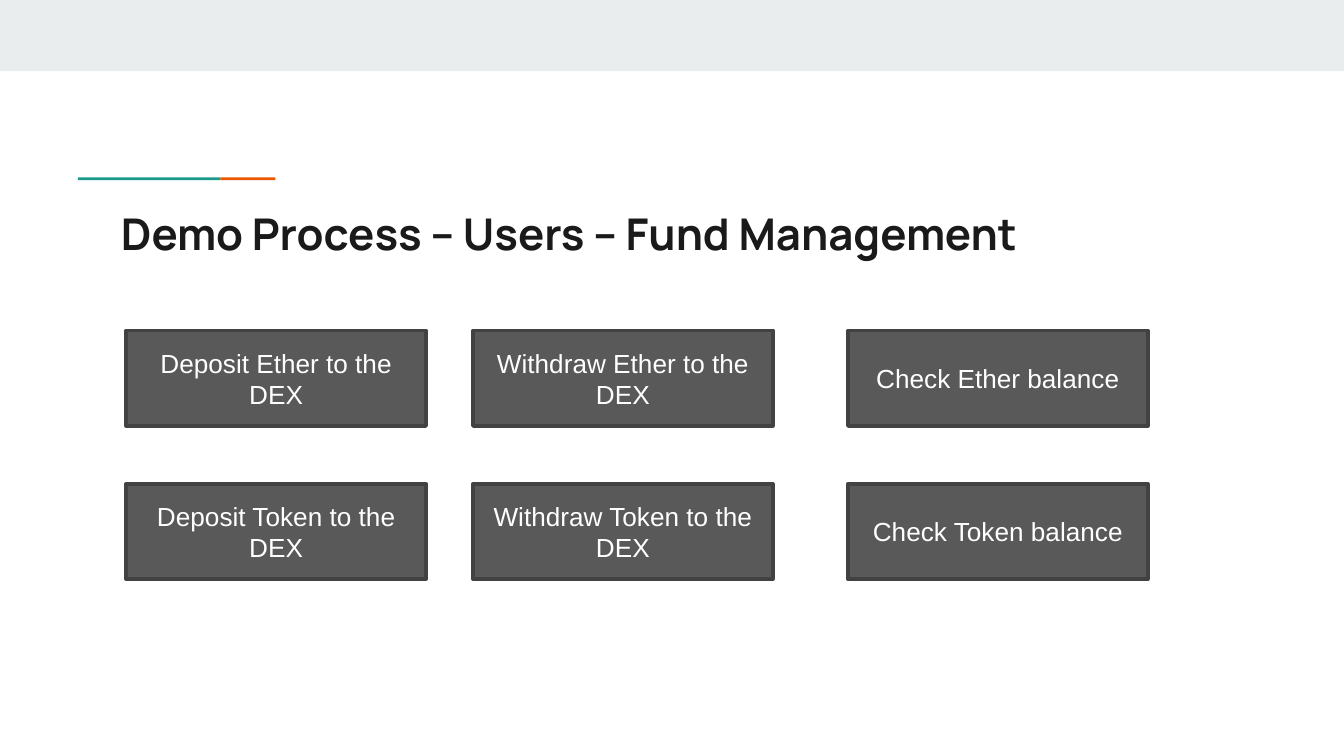
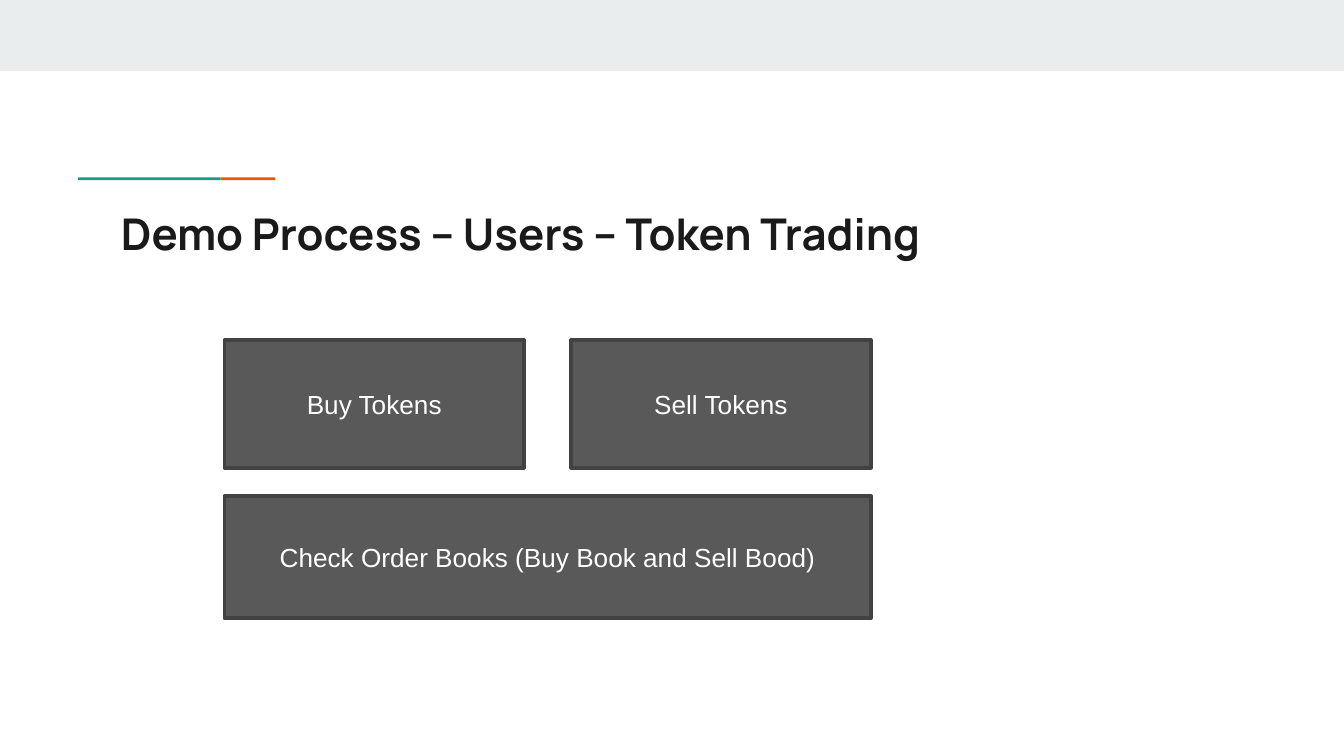
from dataclasses import dataclass

from pptx import Presentation
from pptx.dml.color import RGBColor
from pptx.enum import shapes, text
from pptx.util import Inches, Pt


@dataclass(frozen=True)
class Theme:
    band: str = "E9EDEE"
    teal: str = "1A9988"
    orange: str = "EB5600"
    title: str = "1A1A1A"
    card: str = "595959"
    card_edge: str = "424242"
    card_text: str = "FFFFFF"
    title_font: str = "Manrope"
    body_font: str = "Arial"
    title_size: float = 23.4
    body_size: float = 14
    edge_width: float = 2


@dataclass(frozen=True)
class Box:
    left: float
    top: float
    width: float
    height: float

    def emu(self):
        return [Inches(n) for n in (self.left, self.top, self.width, self.height)]


THEME = Theme()
PAGE = Box(0, 0, 10, 10 * 9 / 16)
BAND = Box(0, 0, PAGE.width, 0.53)
ACCENT = Box(0.58, 1.32, 1.47, 0.02)
TITLE = Box(0.8, 1.44, 8.41, 0.59)
CARD_WIDTH = 2.23
CARD_GAP = 0.35

FUNDS = Box(0.94, 2.46, 7.6, 1.85)
FUND_CARDS = [
    ["Deposit Ether to the DEX", "Withdraw Ether to the DEX", "Check Ether balance"],
    ["Deposit Token to the DEX", "Withdraw Token to the DEX", "Check Token balance"],
]
TRADING = Box(1.67, 2.53, 2 * CARD_WIDTH + CARD_GAP, 2.07)
TRADE_CARDS = ["Buy Tokens", "Sell Tokens"]
ORDER_BOOKS = "Check Order Books (Buy Book and Sell Bood)"


def color(code):
    return RGBColor.from_string(code)


def style_font(font, name, size, code, bold=False):
    font.name, font.size, font.bold = name, Pt(size), bold
    font.color.rgb = color(code)


def add_rect(slide, box, fill):
    rect = slide.shapes.add_shape(shapes.MSO_SHAPE.RECTANGLE, *box.emu())
    rect.shadow.inherit = False
    rect.fill.solid()
    rect.fill.fore_color.rgb = color(fill)
    rect.line.fill.background()
    return rect


def add_card(slide, box, label):
    card = add_rect(slide, box, THEME.card)
    card.line.color.rgb = color(THEME.card_edge)
    card.line.width = Pt(THEME.edge_width)
    frame = card.text_frame
    frame.word_wrap = True
    frame.vertical_anchor = text.MSO_ANCHOR.MIDDLE
    line = frame.paragraphs[0]
    line.text = label
    line.alignment = text.PP_ALIGN.CENTER
    style_font(line.font, THEME.body_font, THEME.body_size, THEME.card_text)


def add_accent(slide, box):
    """Two-colour rule above the title."""
    orange_width = 0.41
    teal_width = box.width - orange_width
    add_rect(slide, Box(box.left, box.top, teal_width, box.height), THEME.teal)
    add_rect(slide, Box(box.left + teal_width, box.top, orange_width, box.height),
             THEME.orange)


def set_title(slide, box, wording):
    title = slide.shapes.title
    title.left, title.top, title.width, title.height = box.emu()
    frame = title.text_frame
    frame.margin_left = frame.margin_right = Inches(0.1)
    frame.margin_top = frame.margin_bottom = Inches(0.1)
    frame.word_wrap = True
    frame.auto_size = text.MSO_AUTO_SIZE.NONE
    frame.vertical_anchor = text.MSO_ANCHOR.TOP
    line = frame.paragraphs[0]
    line.text = wording
    line.alignment = text.PP_ALIGN.LEFT
    style_font(line.font, THEME.title_font, THEME.title_size, THEME.title, bold=True)


def add_titled_slide(deck, wording):
    slide = deck.slides.add_slide(deck.slide_layouts.get_by_name("Title Only"))
    add_rect(slide, BAND, THEME.band)
    add_accent(slide, ACCENT)
    set_title(slide, TITLE, wording)
    return slide


def add_fund_cards(slide, box):
    """Deposit and withdraw side by side, balance checks at the right edge."""
    card_height = 0.71
    lefts = [box.left, box.left + CARD_WIDTH + CARD_GAP,
             box.left + box.width - CARD_WIDTH]
    tops = [box.top, box.top + box.height - card_height]
    for top, labels in zip(tops, FUND_CARDS):
        for left, label in zip(lefts, labels):
            add_card(slide, Box(left, top, CARD_WIDTH, card_height), label)


def add_trading_cards(slide, box):
    """Buy and sell on top of one full-width order book card."""
    trade_height, books_height = 0.95, 0.91
    for column, label in enumerate(TRADE_CARDS):
        left = box.left + column * (CARD_WIDTH + CARD_GAP)
        add_card(slide, Box(left, box.top, CARD_WIDTH, trade_height), label)
    books_top = box.top + box.height - books_height
    add_card(slide, Box(box.left, books_top, box.width, books_height), ORDER_BOOKS)


def main():
    deck = Presentation()
    deck.slide_width, deck.slide_height = Inches(PAGE.width), Inches(PAGE.height)
    funds = add_titled_slide(deck, "Demo Process – Users – Fund Management")
    add_fund_cards(funds, FUNDS)
    trading = add_titled_slide(deck, "Demo Process – Users – Token Trading")
    add_trading_cards(trading, TRADING)
    deck.save("out.pptx")


if __name__ == "__main__":
    main()
